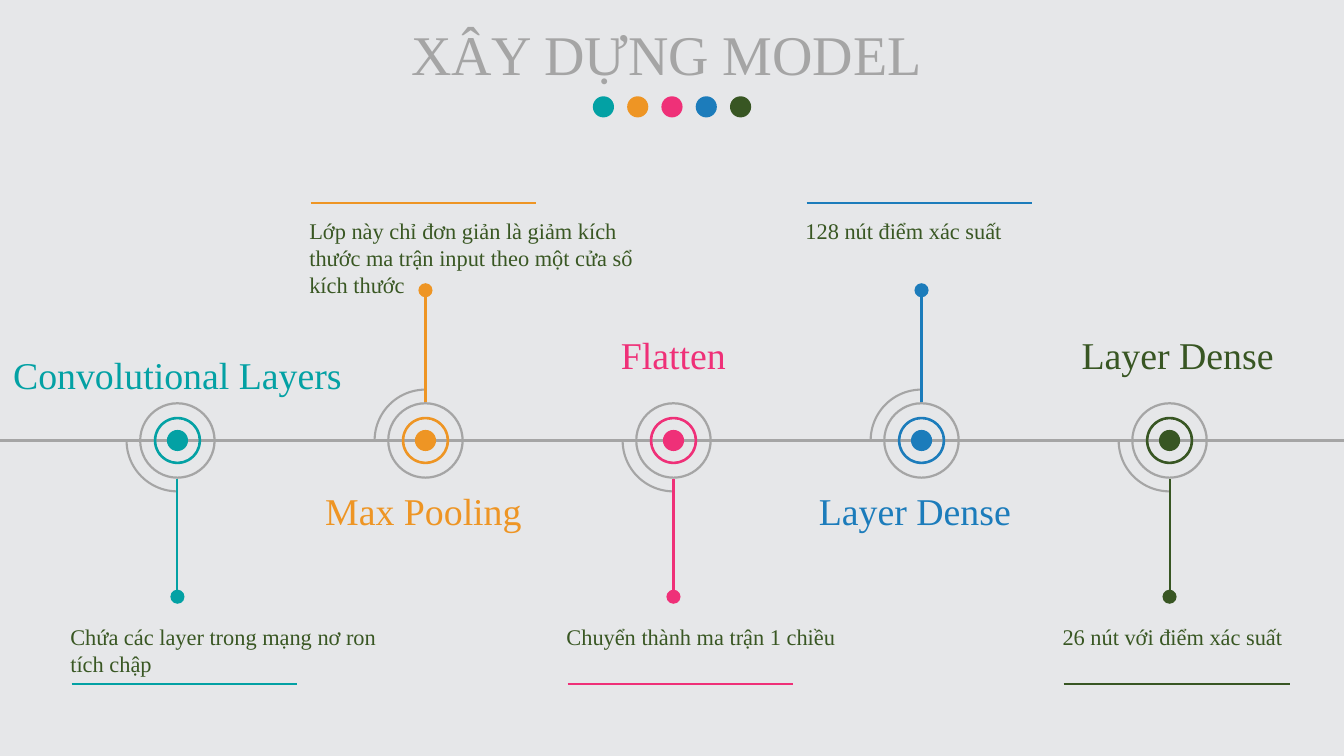
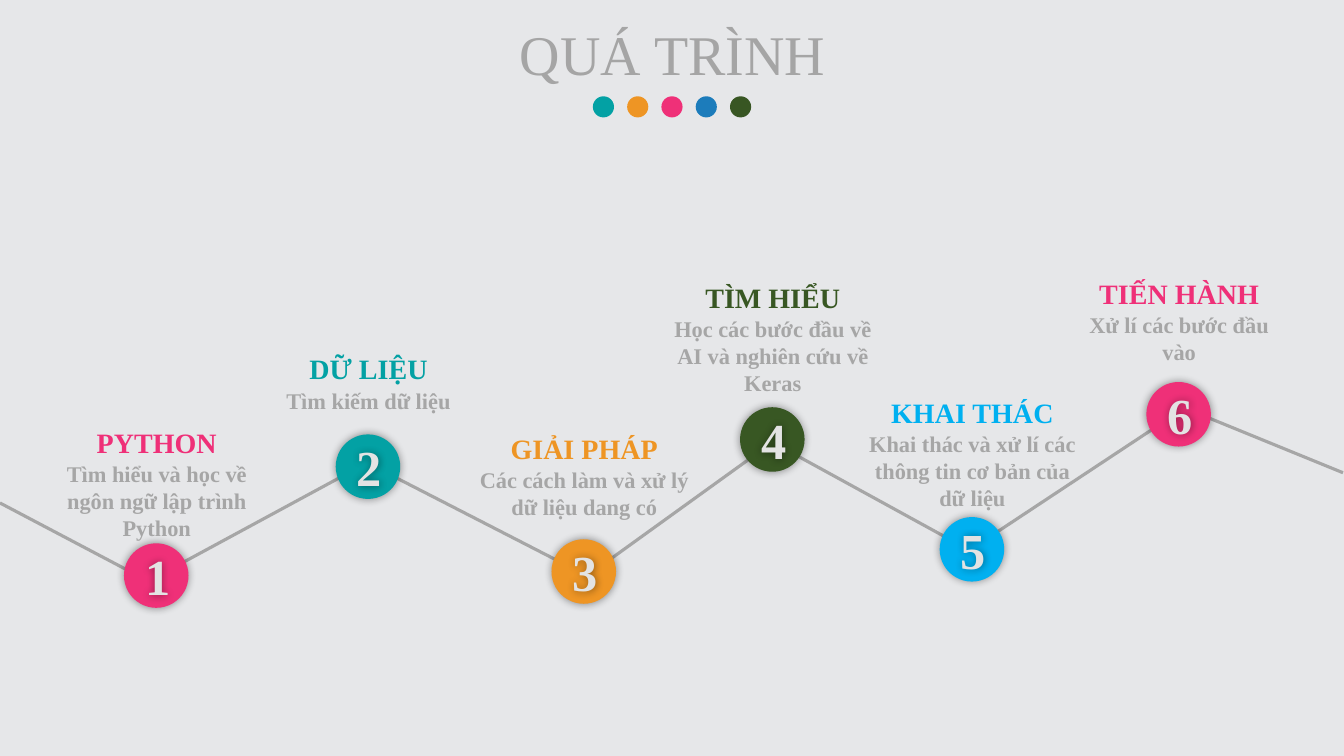
from dataclasses import dataclass
from itertools import pairwise
from typing import Any

from lxml import etree
from pptx import Presentation
from pptx import util as u
from pptx.dml.color import RGBColor
from pptx.enum import shapes, text
from pptx.oxml.ns import qn

WIDE, HIGH = 13.33, 7.5
FONT = "Times New Roman"
PAPER, GRAY, MID, PALE = "E6E7E9", "A5A5A5", "A6A6A6", "E3E3E3"
TEAL, GOLD, PINK, BLUE, GREEN = "03A1A4", "EE9524", "EF3078", "1C7CBB", "385623"
LEAF, MOSS, SKY = "395723", "385723", "00B0F0"
SHAPE = shapes.MSO_SHAPE
LEFT, MIDDLE = text.PP_ALIGN.LEFT, text.PP_ALIGN.CENTER

# Model timeline: hubs on equal columns along one axis
FIRST, COL, AXIS = 1.76, 2.46, 4.37
RULE = 2.24


@dataclass(frozen=True)
class Side:
    """Heights and offsets of a branch above or below the axis."""
    name: float
    stem: float
    tip: float
    dot: float
    note: float
    rule: float
    indent: float
    turn: int


BELOW = Side(3.24, 4.75, 5.88, 5.92, 6.13, 6.79, 1.05, 0)
ABOVE = Side(4.79, 3.99, 2.86, 2.88, 2.11, 2.01, 1.14, 90)


@dataclass(frozen=True)
class Layer:
    name: str
    note: str
    ink: str
    side: Side
    right: float = 0
    down: float = 0


LAYERS = [
    Layer("Convolutional Layers", "Chứa các layer trong mạng nơ ron tích chập",
          TEAL, BELOW, down=0.2),
    Layer("Max Pooling", "Lớp này chỉ đơn giản là giảm kích thước ma trận input "
          "theo một cửa sổ kích thước", GOLD, ABOVE, right=-0.02),
    Layer("Flatten", "Chuyển thành ma trận 1 chiều", PINK, BELOW),
    Layer("Layer Dense ", "128 nút điểm xác suất", BLUE, ABOVE, right=-0.02),
    Layer("Layer Dense", "26 nút với điểm xác suất", GREEN, BELOW, right=0.08),
]


@dataclass(frozen=True)
class Stage:
    name: str
    note: str
    ink: str
    x: float
    y: float
    top: float


STAGES = [
    Stage("PYTHON", "Tìm hiểu và học về ngôn ngữ lập trình Python", PINK, 1.55, 5.71, 4.17),
    Stage("DỮ LIỆU", "Tìm kiếm dữ liệu", TEAL, 3.65, 4.63, 3.44),
    Stage("GIẢI PHÁP", "Các cách làm và xử lý dữ liệu dang có", GOLD, 5.79, 5.67, 4.23),
    Stage("TÌM HIỂU", "Học các bước đầu về AI và nghiên cứu về Keras", MOSS, 7.66, 4.36, 2.73),
    Stage("KHAI THÁC", "Khai thác và xử lí các thông tin cơ bản của dữ liệu",
          SKY, 9.64, 5.45, 3.87),
    Stage("TIẾN HÀNH", "Xử lí các bước đầu vào", PINK, 11.69, 4.11, 2.69),
]

LINKS = [
    (0, 4.99, 1.48, 5.77),
    (1.63, 5.68, 3.57, 4.63),
    (3.89, 4.72, 5.76, 5.68),
    (5.87, 5.68, 7.59, 4.44),
    (7.63, 4.37, 9.6, 5.45),
    (9.78, 5.35, 11.61, 4.14),
    (11.9, 4.11, 13.32, 4.69),
]


def tint(ink: str) -> RGBColor:
    return RGBColor.from_string(ink)


def style(frame: Any, words: str, size: float, ink: str, align: Any, bold: bool = False) -> None:
    frame.text = words
    frame.word_wrap = True
    for para in frame.paragraphs:
        para.alignment = align
        for run in para.runs:
            font = run.font
            font.name, font.size, font.bold = FONT, u.Pt(size), bold
            font.color.rgb = tint(ink)


def write(pool: Any, x: float, y: float, wide: float, high: float, words: str,
          size: float, ink: str, align: Any = MIDDLE, bold: bool = False) -> Any:
    box = pool.add_textbox(*map(u.Inches, (x, y, wide, high)))
    style(box.text_frame, words, size, ink, align, bold)
    return box


def line(pool: Any, x1: float, y1: float, x2: float, y2: float,
         ink: str, width: float = 1.5) -> None:
    link = pool.add_connector(shapes.MSO_CONNECTOR.STRAIGHT,
                              *map(u.Inches, (x1, y1, x2, y2)))
    link.line.color.rgb, link.line.width = tint(ink), u.Pt(width)
    etree.SubElement(link._element.spPr, qn("a:effectLst"))


def round_at(pool: Any, kind: Any, x: float, y: float, size: float, ink: str) -> Any:
    """Add a filled shape of equal sides around a centre."""
    item = pool.add_shape(kind, *map(u.Inches, (x - size / 2, y - size / 2, size, size)))
    item.shadow.inherit = False
    item.fill.solid()
    item.fill.fore_color.rgb = tint(ink)
    item.line.fill.background()
    return item


def ring(pool: Any, x: float, size: float, band: float, ink: str) -> None:
    round_at(pool, SHAPE.DONUT, x, AXIS, size, ink).adjustments[0] = band


def arc(pool: Any, x: float, turn: int) -> None:
    item = round_at(pool, SHAPE.ARC, x, AXIS, 1.01, GRAY)
    item.fill.background()
    item.line.color.rgb, item.line.width = tint(GRAY), u.Pt(1.5)
    item.adjustments[0], item.adjustments[1] = 54, 108
    item.rotation = turn


def glow(item: Any) -> None:
    """Give a soft dark shadow on all sides."""
    item.shadow.inherit = False
    effects = item._element.spPr.find(qn("a:effectLst"))
    outer = etree.SubElement(effects, qn("a:outerShdw"), blurRad=str(u.Pt(6)),
                             dist="0", dir="0", algn="ctr", rotWithShape="0")
    black = etree.SubElement(outer, qn("a:srgbClr"), val="000000")
    etree.SubElement(black, qn("a:alpha"), val="40000")


def start(deck: Any, words: str) -> Any:
    """Add a slide with its title and the row of five dots."""
    slide = deck.slides.add_slide(deck.slide_layouts[5])
    title = slide.shapes.title
    title.left, title.top, title.width, title.height = map(u.Inches, (2.69, 0.14, 7.96, 0.77))
    style(title.text_frame, words, 40, GRAY, MIDDLE)
    title.text_frame.auto_size = text.MSO_AUTO_SIZE.NONE
    row = slide.shapes.add_group_shape().shapes
    for i, ink in enumerate((TEAL, GOLD, PINK, BLUE, GREEN)):
        round_at(row, SHAPE.OVAL, WIDE / 2 + (i - 2) * 0.34, 1.06, 0.21, ink)
    return slide.shapes


def branch(pool: Any, x: float, layer: Layer) -> None:
    side, ink = layer.side, layer.ink
    arc(pool, x, side.turn)
    round_at(pool, SHAPE.OVAL, x, AXIS, 0.21, ink)
    ring(pool, x, 0.47, 0.053, ink)
    ring(pool, x, 0.76, 0.029, GRAY)
    line(pool, x, side.stem, x, side.tip, ink)
    round_at(pool, SHAPE.OVAL, x, side.dot, 0.14, ink)
    write(pool, x - 1.75 + layer.right, side.name + layer.down, 3.5, 0.55, layer.name, 27, ink)
    left = x - side.indent
    write(pool, left - 0.11, side.note, 3.5, 0.64, layer.note, 16, LEAF, LEFT)
    line(pool, left, side.rule, left + RULE, side.rule, ink)


def model(deck: Any) -> None:
    pool = start(deck, "XÂY DỰNG MODEL ")
    hubs = [FIRST + COL * i for i in range(len(LAYERS))]
    for x1, x2 in pairwise([0, *hubs, WIDE]):
        line(pool, x1, AXIS, x2, AXIS, GRAY)
    for x, layer in zip(hubs, LAYERS):
        branch(pool, x, layer)


def process(deck: Any) -> None:
    pool = start(deck, "QUÁ TRÌNH")
    for link in LINKS:
        line(pool, *link, MID, 2.25)
    for i, stage in enumerate(STAGES, 1):
        glow(round_at(pool, SHAPE.OVAL, stage.x, stage.y, 0.64, stage.ink))
        glow(write(pool, stage.x - 0.21, stage.y - 0.35, 0.42, 0.71,
                   str(i), 36, PALE, bold=True))
        label = pool.add_group_shape().shapes
        left = stage.x - 1.16
        write(label, left, stage.top, 2.33, 0.44, stage.name, 20, stage.ink, bold=True)
        write(label, left, stage.top + 0.35, 2.33, 0.91, stage.note, 16, MID, bold=True)


def main() -> None:
    deck = Presentation()
    deck.slide_width, deck.slide_height = u.Inches(WIDE), u.Inches(HIGH)
    paper = deck.slide_master.background.fill
    paper.solid()
    paper.fore_color.rgb = tint(PAPER)
    model(deck)
    process(deck)
    deck.save("out.pptx")


if __name__ == "__main__":
    main()
